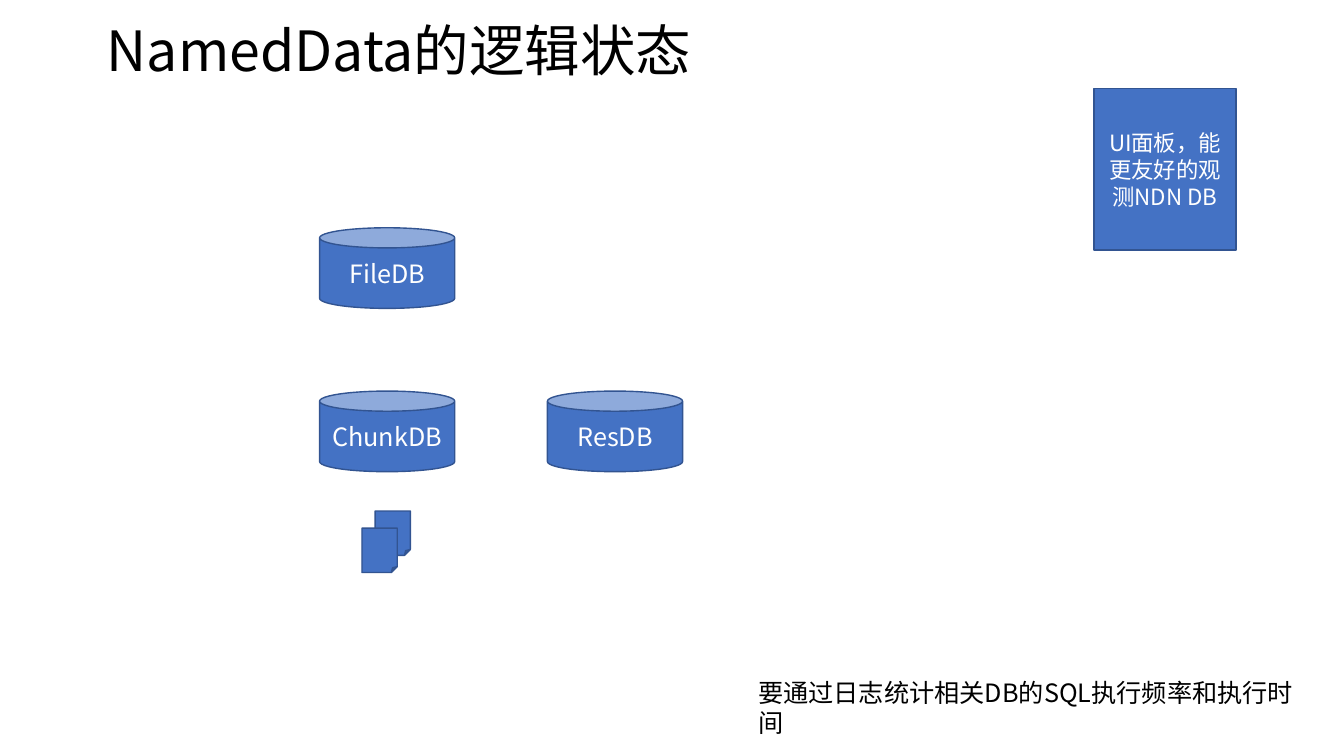
"""Build a slide on the logical state of NamedData."""
from dataclasses import dataclass

import pptx
import pptx.dml.color
import pptx.enum.shapes
import pptx.enum.text
import pptx.oxml
import pptx.oxml.ns
import pptx.shapes.autoshape
import pptx.slide
import pptx.text.text
import pptx.util

Kind = pptx.enum.shapes.MSO_SHAPE
Align = pptx.enum.text.PP_ALIGN
Anchor = pptx.enum.text.MSO_ANCHOR
Color = pptx.dml.color.RGBColor

BLUE = Color(0x44, 0x72, 0xC4)
EDGE = Color(0x32, 0x54, 0x91)
WHITE = Color(0xFF, 0xFF, 0xFF)
BLACK = Color(0x00, 0x00, 0x00)
FONT = "Noto Sans CJK SC"
SCALE = 9144


@dataclass(frozen=True)
class Box:
    left: int
    top: int
    width: int
    height: int

    def emu(self) -> list[pptx.util.Emu]:
        sides = (self.left, self.top, self.width, self.height)
        return [pptx.util.Emu(side * SCALE) for side in sides]


@dataclass(frozen=True)
class Node:
    kind: Kind
    box: Box
    text: str = ""
    size: float = 18


def can(left: int, top: int, text: str) -> Node:
    return Node(Kind.CAN, Box(left, top, 134, 80), text)


def page(left: int, top: int) -> Node:
    return Node(Kind.FOLDED_CORNER, Box(left, top, 35, 44))


NODES = [
    can(317, 388, "ChunkDB"),
    page(372, 507),
    page(359, 524),
    can(543, 388, "ResDB"),
    can(317, 226, "FileDB"),
    Node(Kind.RECTANGLE, Box(1085, 88, 141, 160), "UI面板，能更友好的观测NDN DB", 16),
]


def write(frame: pptx.text.text.TextFrame, text: str, *, size: float = 18,
          color: Color = BLACK, align: Align = Align.LEFT,
          anchor: Anchor = Anchor.MIDDLE, space: float = 1.0) -> None:
    frame.word_wrap = True
    frame.auto_size = pptx.enum.text.MSO_AUTO_SIZE.NONE
    frame.vertical_anchor = anchor
    para = frame.paragraphs[0]
    para.alignment = align
    para.line_spacing = space
    run = para.add_run()
    run.text = text
    run.font.size = pptx.util.Pt(size)
    run.font.name = FONT
    run.font.color.rgb = color
    east = pptx.oxml.parse_xml(
        f'<a:ea {pptx.oxml.ns.nsdecls("a")} typeface="{FONT}"/>')
    run.font._element.find(pptx.oxml.ns.qn("a:latin")).addnext(east)


def draw(slide: pptx.slide.Slide, node: Node) -> None:
    shape = slide.shapes.add_shape(node.kind, *node.box.emu())
    shape.shadow.inherit = False
    shape.fill.solid()
    shape.fill.fore_color.rgb = BLUE
    shape.line.color.rgb = EDGE
    shape.line.width = pptx.util.Pt(1)
    if node.text:
        write(shape.text_frame, node.text, size=node.size, color=WHITE,
              align=Align.CENTER)


def main() -> None:
    deck = pptx.Presentation()
    deck.slide_width = pptx.util.Emu(1333 * SCALE)
    deck.slide_height = pptx.util.Emu(750 * SCALE)
    slide = deck.slides.add_slide(deck.slide_layouts.get_by_name("Title Only"))

    title = slide.shapes.title
    title.left, title.top, title.width, title.height = Box(96, 17, 1150, 73).emu()
    write(title.text_frame, "NamedData的逻辑状态", size=39.6, space=0.9)

    for node in NODES:
        draw(slide, node)

    note = slide.shapes.add_textbox(*Box(742, 667, 575, 40).emu())
    write(note.text_frame, "要通过日志统计相关DB的SQL执行频率和执行时间",
          anchor=Anchor.TOP)

    deck.save("out.pptx")


if __name__ == "__main__":
    main()
